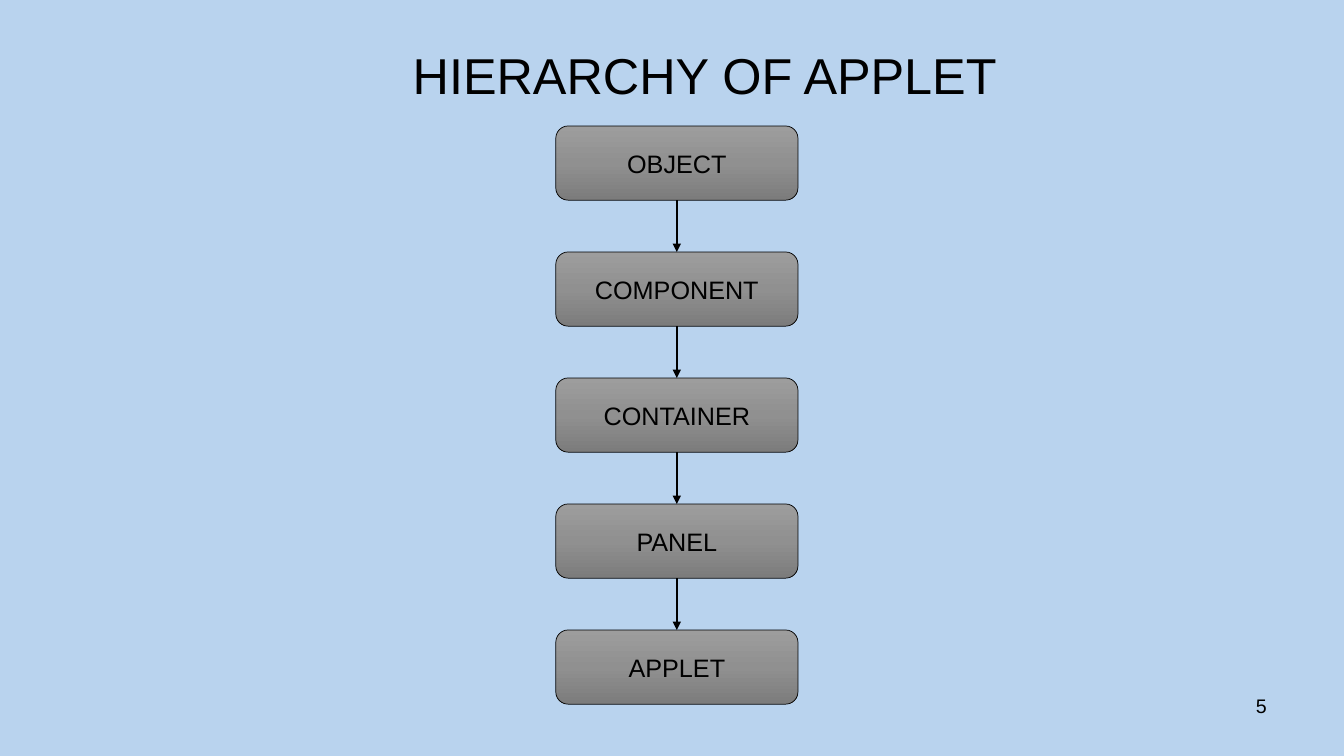
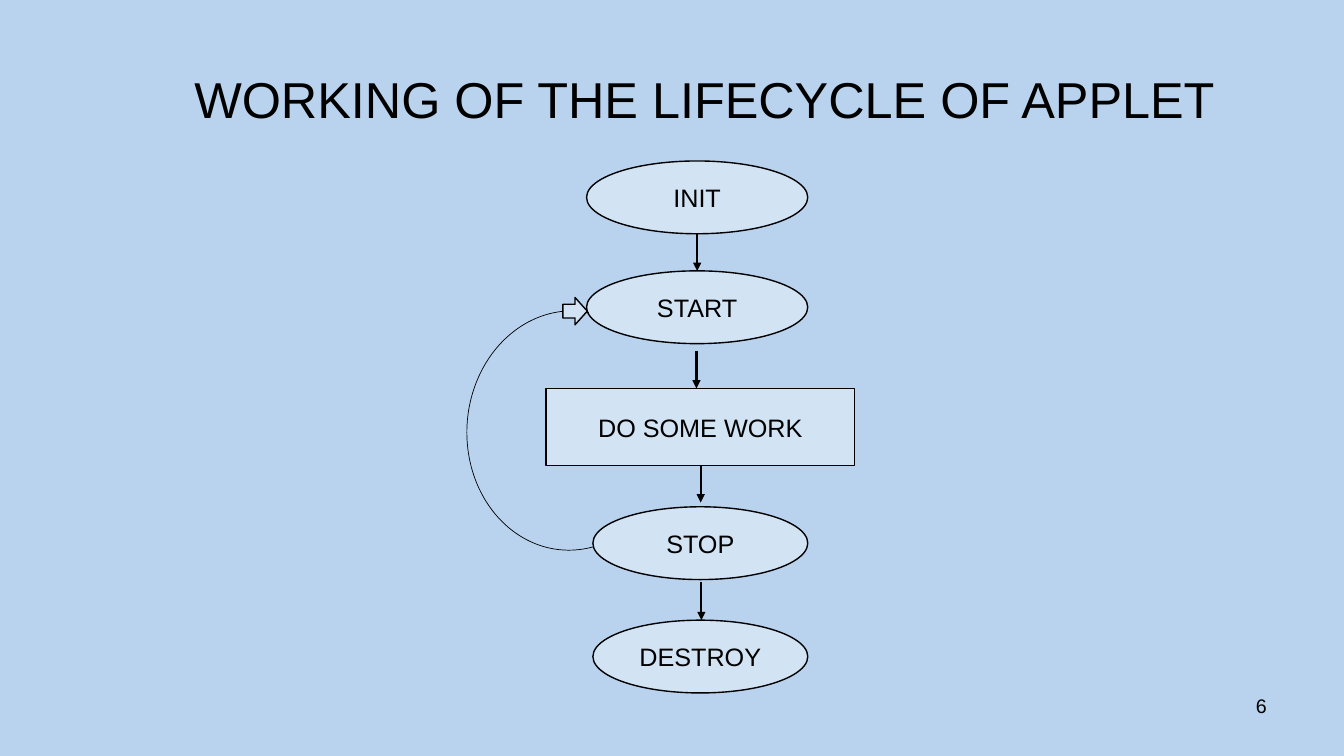
from copy import deepcopy

from pptx import Presentation
from pptx.dml.color import RGBColor
from pptx.enum.shapes import MSO_CONNECTOR as Connector, MSO_SHAPE as Shape
from pptx.enum.text import MSO_ANCHOR as Anchor, PP_ALIGN as Align
from pptx.oxml.ns import qn
from pptx.oxml.xmlchemy import OxmlElement as new_element
from pptx.util import Pt

FONT = "Arial"
INK = "000000"
BACKGROUND = "B9D3EE"
PALE = "D2E3F4"
GREYS = [(0, "9D9D9D"), (0.5, "909090"), (1, "7C7C7C")]


def colour(value):
    return RGBColor.from_string(value)


class Deck:
    def __init__(self):
        self.deck = Presentation()
        self.deck.slide_width, self.deck.slide_height = Pt(960), Pt(540)
        fill = self.deck.slide_master.background.fill
        fill.solid()
        fill.fore_color.rgb = colour(BACKGROUND)
        self.page = None

    def add_page(self, title, top, number):
        self.page = self.deck.slides.add_slide(self.deck.slide_layouts[5])
        box = self.page.shapes.title
        box.left, box.top, box.width, box.height = Pt(103), Pt(top), Pt(801), Pt(90)
        self.label(box, title, 36)
        footer = self.page.shapes.add_textbox(Pt(688), Pt(492), Pt(224), Pt(37))
        self.label(footer, str(number), 14, Align.RIGHT, Anchor.TOP)

    def label(self, box, text, size, align=Align.CENTER, anchor=Anchor.MIDDLE):
        frame = box.text_frame
        frame.text = text
        frame.word_wrap = True
        frame.vertical_anchor = anchor
        para = frame.paragraphs[0]
        para.alignment = align
        font = para.runs[0].font
        font.name, font.size = FONT, Pt(size)
        font.color.rgb = colour(INK)

    def outline(self, item, width):
        item.line.color.rgb = colour(INK)
        item.line.width = Pt(width)

    def shape(self, kind, left, top, width, height, line=1, fill=PALE):
        box = self.page.shapes.add_shape(kind, Pt(left), Pt(top), Pt(width), Pt(height))
        box.shadow.inherit = False
        if fill:
            box.fill.solid()
            box.fill.fore_color.rgb = colour(fill)
        else:
            box.fill.background()
        self.outline(box, line)
        return box

    def node(self, text, kind, left, top, width, height, line=1):
        box = self.shape(kind, left, top, width, height, line)
        self.label(box, text, 18)
        return box

    def shade(self, box, stops):
        box.fill.gradient()
        box.fill.gradient_angle = 270
        stop_list = next(box.element.iter(qn("a:gsLst")))
        for _ in range(len(stops) - len(stop_list)):
            stop_list.append(deepcopy(stop_list[0]))
        for stop, (position, value) in zip(box.fill.gradient_stops, stops):
            stop.position = position
            stop.color.rgb = colour(value)

    def arrow(self, x, top, bottom):
        arrow = self.page.shapes.add_connector(
            Connector.STRAIGHT, Pt(x), Pt(top), Pt(x), Pt(bottom)
        )
        self.outline(arrow, 1.5)
        head = new_element("a:tailEnd")
        head.set("type", "triangle")
        properties = arrow.element.spPr
        properties.find(qn("a:ln")).append(head)
        properties.append(new_element("a:effectLst"))
        return arrow

    def link(self, upper, lower):
        arrow = self.arrow(0, 0, 0)
        arrow.begin_connect(upper, 2)
        arrow.end_connect(lower, 0)

    def arc(self, left, top, width, height, start, end, rotation):
        arc = self.shape(Shape.ARC, left, top, width, height, 0.5, None)
        arc.adjustments[0], arc.adjustments[1] = start, end
        arc.rotation = rotation


def hierarchy(deck):
    deck.add_page("HIERARCHY OF APPLET", 8, 5)
    classes = ["OBJECT", "COMPONENT", "CONTAINER", "PANEL", "APPLET"]
    boxes = []
    for row, name in enumerate(classes):
        box = deck.node(name, Shape.ROUNDED_RECTANGLE, 397, 90 + 90 * row, 173, 53, 0.5)
        deck.shade(box, GREYS)
        boxes.append(box)
    for upper, lower in zip(boxes, boxes[1:]):
        deck.link(upper, lower)


def lifecycle(deck):
    deck.add_page("WORKING OF THE LIFECYCLE OF APPLET", 25, 6)
    for name, kind, left, top, width, height in [
        ("INIT", Shape.OVAL, 419, 115, 158, 52),
        ("START", Shape.OVAL, 419, 193.5, 158, 52),
        ("DO SOME WORK", Shape.RECTANGLE, 390, 277.5, 220.5, 55),
        ("STOP", Shape.OVAL, 423.5, 362, 153.5, 52),
        ("DESTROY", Shape.OVAL, 423.5, 443, 153.5, 52),
    ]:
        deck.node(name, kind, left, top, width, height)
    for x, tip in [(498, 193.5), (497.5, 277.5), (500.5, 359), (501, 443)]:
        deck.arrow(x, tip - 27, tip)
    deck.arc(333.5, 222, 148, 171, 153.32, 57.46, 183.1)
    deck.shape(Shape.RIGHT_ARROW, 402, 212.5, 17.5, 19.5)


def main():
    deck = Deck()
    hierarchy(deck)
    lifecycle(deck)
    deck.deck.save("out.pptx")


if __name__ == "__main__":
    main()
